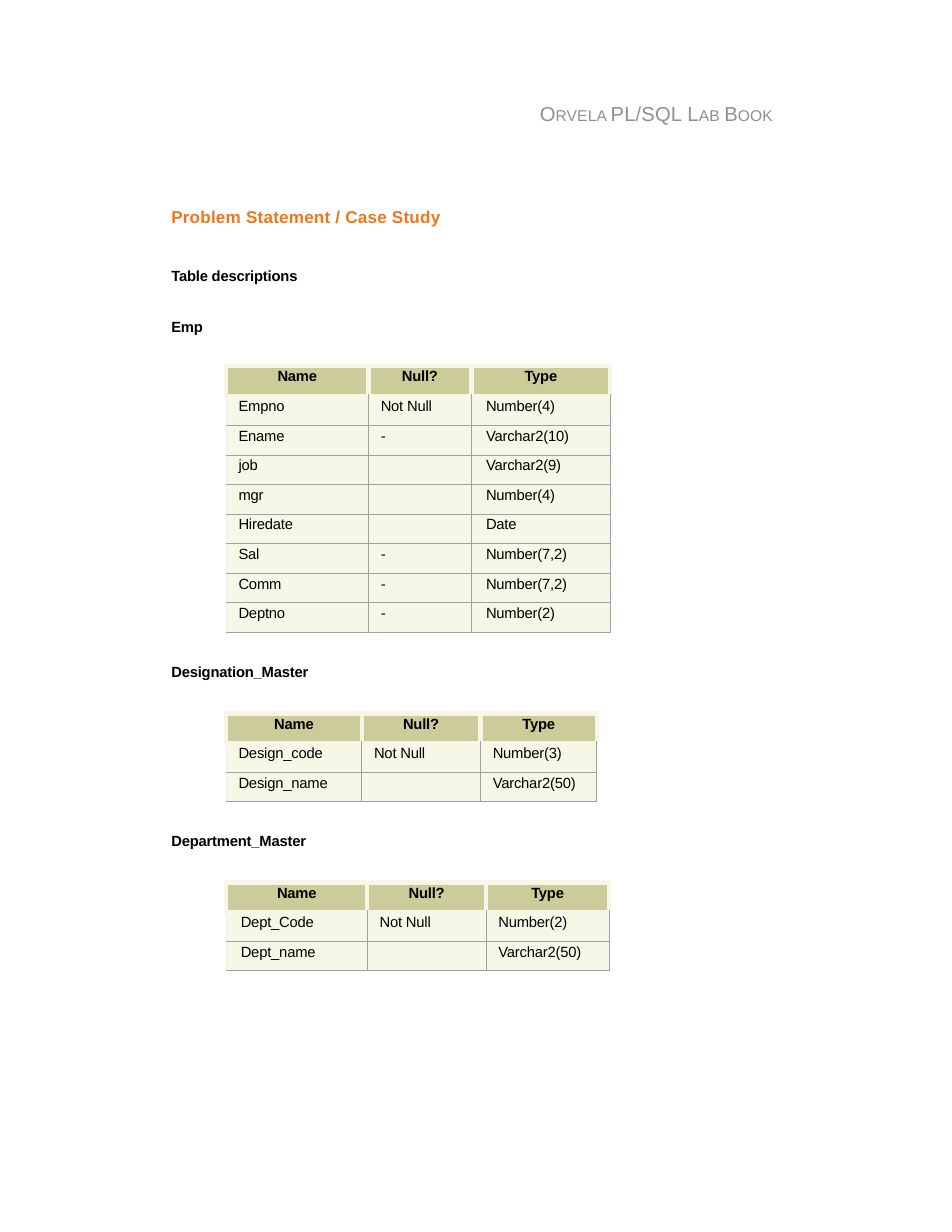
from lxml.etree import SubElement
from pptx import Presentation
from pptx.dml.color import RGBColor
from pptx.enum.text import MSO_ANCHOR, MSO_AUTO_SIZE, PP_ALIGN
from pptx.oxml.ns import qn
from pptx.util import Inches, Pt

GRAY = RGBColor(0x90, 0x90, 0x90)
ORANGE = RGBColor(0xED, 0x77, 0x1A)
BLACK = RGBColor(0x00, 0x00, 0x00)
KHAKI = RGBColor(0xCC, 0xCC, 0x9A)
CREAM = RGBColor(0xF7, 0xF7, 0xE7)
PALE = RGBColor(0xEF, 0xEF, 0xEF)
RULE = RGBColor(0xA0, 0xA0, 0xA0)


def format_runs(paragraph, size, color, bold=False, spacing=-10):
    for run in paragraph.runs:
        run.font.name = "Arial"
        run.font.size = Pt(size)
        run.font.bold = bold
        run.font.color.rgb = color
        run.font._element.set("spc", str(spacing))


def set_border(cell, side, color, width):
    line = SubElement(cell._tc.get_or_add_tcPr(), qn(f"a:ln{side}"), w=str(Pt(width)))
    fill = SubElement(line, qn("a:solidFill"))
    SubElement(fill, qn("a:srgbClr"), val=str(color))


presentation = Presentation()
presentation.slide_width = Inches(8.5)
presentation.slide_height = Inches(11)
slide = presentation.slides.add_slide(presentation.slide_layouts[5])

# Running header in small capitals
header = slide.shapes.title
header.left, header.top = Inches(4.81), Inches(0.87)
header.width, header.height = Inches(2.14), Inches(0.25)
paragraph = header.text_frame.paragraphs[0]
paragraph.alignment = PP_ALIGN.LEFT
for text, size in [("O", 13), ("RVELA ", 10), ("PL/SQL ", 13), ("L", 13),
                   ("AB ", 10), ("B", 13), ("OOK", 10)]:
    paragraph.add_run().text = text
format_runs(paragraph, 13, GRAY, spacing=10)
for run in paragraph.runs:
    if run.text in ("RVELA ", "AB ", "OOK"):
        run.font.size = Pt(10)

# Headings: top, width, height and (text, size, color, space before)
headings = [
    (1.81, 2.44, 1.17, [("Problem Statement / Case Study", 11, ORANGE, 0),
                        ("Table descriptions", 9.5, BLACK, 25.7),
                        ("Emp", 9.5, BLACK, 21.2)]),
    (5.89, 1.27, 0.19, [("Designation_Master", 9.5, BLACK, 0)]),
    (7.4, 1.25, 0.19, [("Department_Master", 9.5, BLACK, 0)]),
]
text_shapes = [header]
for top, width, height, lines in headings:
    shape = slide.shapes.add_textbox(Inches(1.52), Inches(top), Inches(width), Inches(height))
    text_shapes.append(shape)
    shape.text_frame.text = "\n".join(line[0] for line in lines)
    for paragraph, (text, size, color, space) in zip(shape.text_frame.paragraphs, lines):
        format_runs(paragraph, size, color, bold=True, spacing=10 if size == 11 else -10)
        if space:
            paragraph.space_before = Pt(space)

for shape in text_shapes:
    frame = shape.text_frame
    frame.word_wrap = True
    frame.auto_size = MSO_AUTO_SIZE.NONE
    frame.vertical_anchor = MSO_ANCHOR.TOP
    frame.margin_left = Inches(0.01)
    frame.margin_top = Inches(0.03)
    frame.margin_right = frame.margin_bottom = 0

# Table descriptions: top, height, column widths, text indents and rows
tables = [
    (3.27, 2.38, (1.27, 0.92, 1.24), (0.11, 0.11, 0.13), [
        ("Empno", "Not Null", "Number(4)"),
        ("Ename", "-", "Varchar2(10)"),
        ("job", "", "Varchar2(9)"),
        ("mgr", "", "Number(4)"),
        ("Hiredate", "", "Date"),
        ("Sal", "-", "Number(7,2)"),
        ("Comm", "-", "Number(7,2)"),
        ("Deptno", "-", "Number(2)"),
    ]),
    (6.37, 0.79, (1.21, 1.06, 1.04), (0.11, 0.11, 0.11), [
        ("Design_code", "Not Null", "Number(3)"),
        ("Design_name", "", "Varchar2(50)"),
    ]),
    (7.88, 0.79, (1.26, 1.06, 1.1), (0.13, 0.11, 0.11), [
        ("Dept_Code", "Not Null", "Number(2)"),
        ("Dept_name", "", "Varchar2(50)"),
    ]),
]
for top, height, widths, indents, records in tables:
    rows = [("Name", "Null?", "Type")] + records
    table = slide.shapes.add_table(len(rows), len(widths), Inches(2.02), Inches(top),
                                   Inches(sum(widths)), Inches(height)).table
    table.horz_banding = False
    for column, width in zip(table.columns, widths):
        column.width = Inches(width)
    for row_index, values in enumerate(rows):
        is_header = row_index == 0
        table.rows[row_index].height = Inches(height / len(rows))
        for column_index, value in enumerate(values):
            cell = table.cell(row_index, column_index)
            cell.margin_left = 0 if is_header else Inches(indents[column_index])
            cell.margin_top = Inches(0.02)
            cell.margin_right = cell.margin_bottom = 0
            cell.text_frame.text = value
            paragraph = cell.text_frame.paragraphs[0]
            if is_header:
                paragraph.alignment = PP_ALIGN.CENTER
            format_runs(paragraph, 9.5, BLACK, bold=is_header)
            if not value:  # keeps empty rows from growing
                SubElement(paragraph._p, qn("a:endParaRPr"), sz="950")

            # Thick cream frame round the header, thin rules below it
            for side in "LRTB":
                if is_header or (row_index == 1 and side == "T"):
                    set_border(cell, side, CREAM, 3)
                elif column_index == 0 and side == "L":
                    set_border(cell, side, PALE, 0.75)
                else:
                    set_border(cell, side, RULE, 0.75)
            cell.fill.solid()
            cell.fill.fore_color.rgb = KHAKI if is_header else CREAM

presentation.save("out.pptx")
